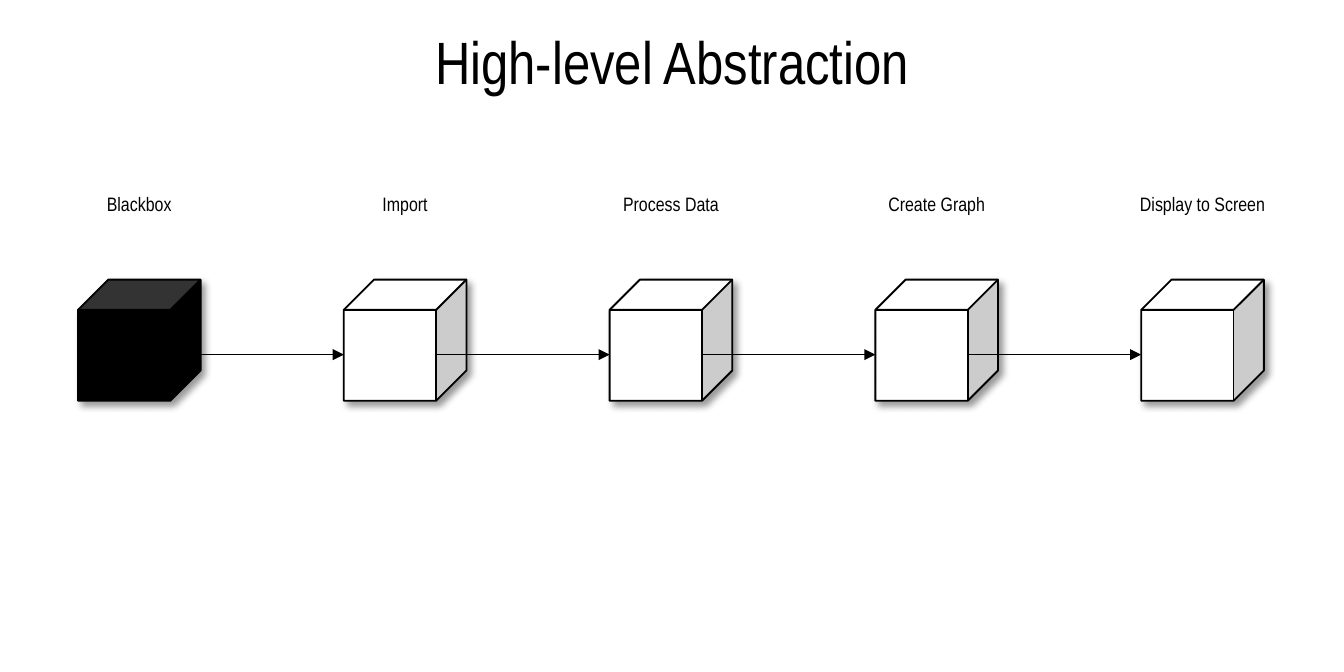
from lxml import etree
from pptx import Presentation
from pptx.dml.color import RGBColor
from pptx.enum.shapes import MSO_CONNECTOR, MSO_SHAPE
from pptx.enum.text import MSO_ANCHOR, MSO_AUTO_SIZE, PP_ALIGN
from pptx.oxml import parse_xml
from pptx.oxml.ns import nsdecls, qn
from pptx.util import Pt

CUBE = MSO_SHAPE.CUBE
STRAIGHT = MSO_CONNECTOR.STRAIGHT
MIDDLE, TOP = MSO_ANCHOR.MIDDLE, MSO_ANCHOR.TOP
FIT = MSO_AUTO_SIZE.SHAPE_TO_FIT_TEXT
CENTER = PP_ALIGN.CENTER
BLACK = RGBColor(0x00, 0x00, 0x00)
WHITE = RGBColor(0xFF, 0xFF, 0xFF)
FONT = "Arial Narrow"

LEFT, STEP = 41.8, 142.4
CUBE_TOP, CUBE_W, CUBE_H = 149.8, 65.7, 64.9
FRONT_W, ARROW_Y = 49.2, 190
LABEL_TOP, LABEL_H = 99.4, 20.2
STAGES = [
    ("Blackbox", 93.6, BLACK),
    ("Import", 38.9, WHITE),
    ("Process Data", 66.2, WHITE),
    ("Create Graph", 67, WHITE),
    ("Display to Screen", 82, WHITE),
]
SHADOW = (
    f'<a:effectLst {nsdecls("a")}>'
    '<a:outerShdw blurRad="50800" dist="38100" dir="2700000" algn="tl" rotWithShape="0">'
    '<a:srgbClr val="000000"><a:alpha val="40000"/></a:srgbClr>'
    "</a:outerShdw></a:effectLst>"
)


def write(sp, text, size, anchor, wrap):
    tf = sp.text_frame
    tf.word_wrap = wrap
    tf.auto_size = FIT
    tf.vertical_anchor = anchor
    p = tf.paragraphs[0]
    p.alignment = CENTER
    r = p.add_run()
    r.text = text
    r.font.name = FONT
    r.font.size = Pt(size)
    r.font.color.rgb = BLACK


prs = Presentation()
prs.slide_width, prs.slide_height = Pt(720), Pt(360)
s = prs.slides.add_slide(prs.slide_layouts[5])

title = s.shapes.title
title.left, title.top, title.width, title.height = Pt(224.6), Pt(9.4), Pt(271.4), Pt(46.1)
write(title, "High-level Abstraction", 32, MIDDLE, False)

for i, (name, width, color) in enumerate(STAGES):
    x = LEFT + i * STEP
    sp = s.shapes.add_shape(CUBE, Pt(x), Pt(CUBE_TOP), Pt(CUBE_W), Pt(CUBE_H))
    sp.fill.solid()
    sp.fill.fore_color.rgb = color
    sp.line.color.rgb = BLACK
    sp.line.width = Pt(1)
    sp._element.spPr.append(parse_xml(SHADOW))

    label_x = x + (CUBE_W - width) / 2
    label = s.shapes.add_textbox(Pt(label_x), Pt(LABEL_TOP), Pt(width), Pt(LABEL_H))
    write(label, name, 10.4, TOP, i == 0)

for i in range(len(STAGES) - 1):
    x = LEFT + i * STEP
    arrow = s.shapes.add_connector(
        STRAIGHT, Pt(x + FRONT_W), Pt(ARROW_Y), Pt(x + STEP), Pt(ARROW_Y)
    )
    arrow.line.color.rgb = BLACK
    arrow.line.width = Pt(0.5)
    etree.SubElement(arrow.line._get_or_add_ln(), qn("a:tailEnd"), type="triangle")
    etree.SubElement(arrow._element.spPr, qn("a:effectLst"))

prs.save("out.pptx")
